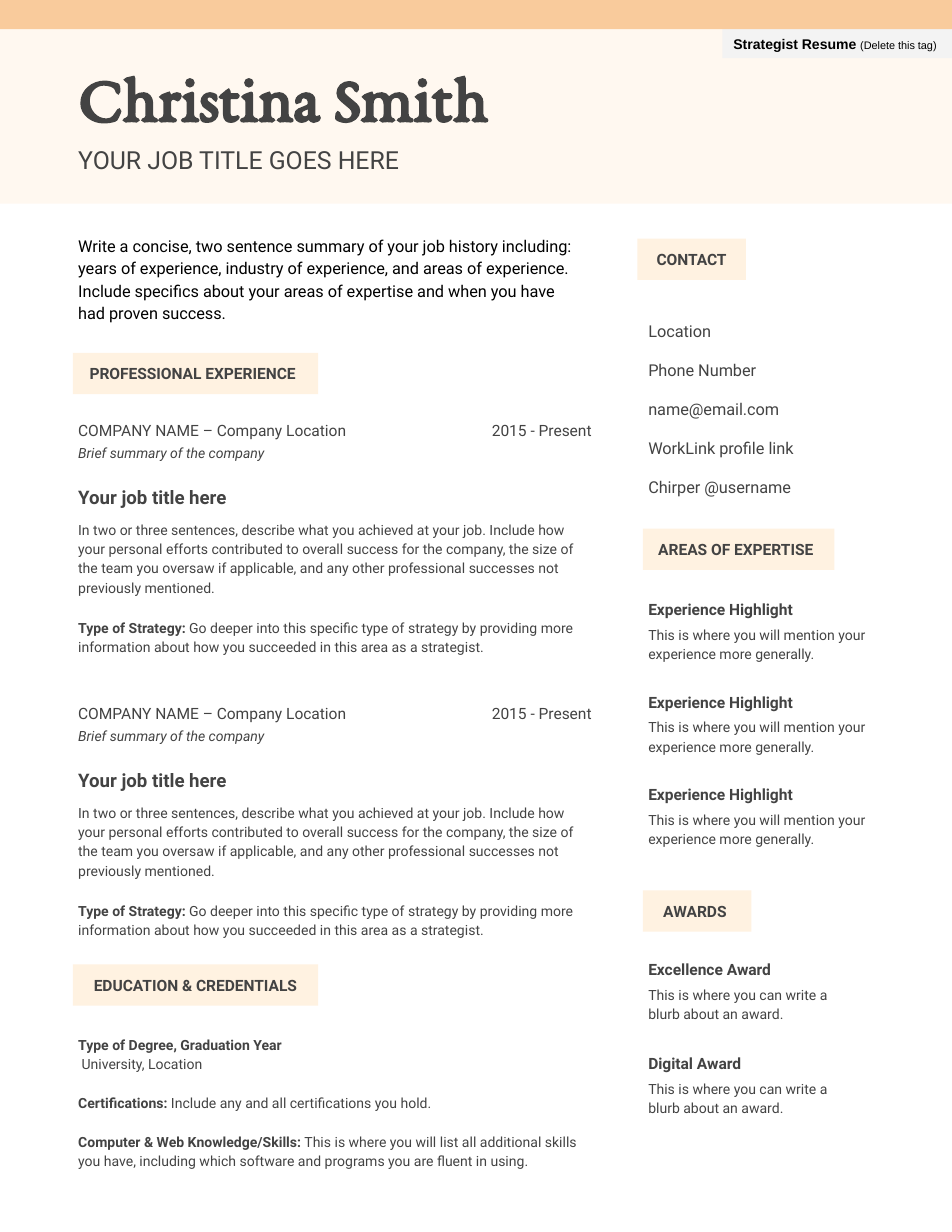
from dataclasses import dataclass, replace

from pptx import Presentation
from pptx.dml.color import RGBColor
from pptx.enum.shapes import MSO_SHAPE as Shape
from pptx.enum.text import MSO_ANCHOR as Anchor, MSO_AUTO_SIZE as AutoSize, PP_ALIGN as Align
from pptx.util import Pt

COLORS = {
    "banner": "F9CB9C",
    "header": "FFF8F0",
    "tag": "FFF2E1",
    "note": "F3F3F3",
    "ink": "434343",
    "black": "000000",
}
INSET = 7.2
LEFT, RIGHT = 43.2, 409.7
MAIN_WIDTH, SIDE_WIDTH, HALF_WIDTH = 343.4, 154.1, 221
TAG_HEIGHT = 26.6


@dataclass(frozen=True)
class Style:
    size: float
    bold: bool = False
    italic: bool = False
    color: str = "ink"
    font: str = "Roboto"
    spacing: float = 1.15
    align: Align = Align.LEFT


@dataclass(frozen=True)
class Box:
    left: float
    top: float
    width: float
    height: float


@dataclass(frozen=True)
class Line:
    text: str
    lead: str = ""
    space_before: float = 0


@dataclass(frozen=True)
class SectionTag:
    text: str
    box: Box
    label_width: float


@dataclass(frozen=True)
class SideItem:
    heading: str
    body: str
    top: float


NAME = Style(42, bold=True, font="EB Garamond", spacing=1)
JOB_LINE = Style(16, spacing=1)
SUMMARY = Style(10.5, color="black")
CONTACT = Style(10.5, spacing=2)
TAG = Style(10, bold=True, spacing=1, align=Align.CENTER)
COMPANY = Style(10)
DATES = replace(COMPANY, align=Align.RIGHT)
HEADING = Style(10, bold=True)
ROLE = Style(12, bold=True)
BODY = Style(9)
BRIEF = replace(BODY, italic=True)
NOTE = Style(7, color="black", font="Arial", spacing=1)


def format_span(span, style: Style) -> None:
    span.font.name = style.font
    span.font.size = Pt(style.size)
    span.font.bold = style.bold
    span.font.italic = style.italic
    span.font.color.rgb = RGBColor.from_string(COLORS[style.color])


def write(frame, lines: list[Line], style: Style, lead_style: Style | None = None) -> None:
    frame.word_wrap = True
    frame.vertical_anchor = Anchor.TOP
    frame.margin_left = frame.margin_right = Pt(INSET)
    frame.margin_top = frame.margin_bottom = Pt(INSET)
    for index, line in enumerate(lines):
        para = frame.paragraphs[0] if index == 0 else frame.add_paragraph()
        para.text = line.lead or line.text
        if line.lead and line.text:
            para.add_run().text = line.text
        para.alignment = style.align
        para.line_spacing = style.spacing
        para.space_before = Pt(line.space_before)
        for span in para.runs:
            format_span(span, style)
        if line.lead:
            format_span(para.runs[0], lead_style or replace(style, bold=True))


def add_text(page, box: Box, lines: list[Line], style: Style) -> None:
    text_box = page.shapes.add_textbox(Pt(box.left), Pt(box.top), Pt(box.width), Pt(box.height))
    write(text_box.text_frame, lines, style)
    text_box.text_frame.auto_size = AutoSize.SHAPE_TO_FIT_TEXT


def add_panel(page, box: Box, color: str):
    panel = page.shapes.add_shape(
        Shape.RECTANGLE, Pt(box.left), Pt(box.top), Pt(box.width), Pt(box.height))
    panel.shadow.inherit = False
    panel.fill.solid()
    panel.fill.fore_color.rgb = RGBColor.from_string(COLORS[color])
    panel.line.fill.background()
    return panel


def add_section_tag(page, tag: SectionTag) -> None:
    frame = add_panel(page, tag.box, "tag").text_frame
    write(frame, [Line(tag.text)], TAG)
    frame.margin_right = Pt(INSET + tag.box.width - tag.label_width)


def add_title(page, text: str, box: Box):
    title = page.shapes.title
    title.left, title.top = Pt(box.left), Pt(box.top)
    title.width, title.height = Pt(box.width), Pt(box.height)
    write(title.text_frame, [Line(text)], NAME)
    title.text_frame.auto_size = AutoSize.SHAPE_TO_FIT_TEXT
    return title


def add_job(page, top: float) -> None:
    add_text(page, Box(LEFT, top, HALF_WIDTH, 26.6),
             [Line("COMPANY NAME – Company Location")], COMPANY)
    add_text(page, Box(248.4, top, 139, 26.6), [Line("2015 - Present")], DATES)
    add_text(page, Box(LEFT, top + 15.8, HALF_WIDTH, 25),
             [Line("Brief summary of the company")], BRIEF)
    add_text(page, Box(LEFT, top + 40.8, HALF_WIDTH, 29), [Line("Your job title here")], ROLE)
    add_text(page, Box(LEFT, top + 64.1, MAIN_WIDTH, 63.4), [Line(
        "In two or three sentences, describe what you achieved at your job. Include how your "
        "personal efforts contributed to overall success for the company, the size of the team "
        "you oversaw if applicable, and any other professional successes not previously "
        "mentioned.")], BODY)
    add_text(page, Box(LEFT, top + 127.3, MAIN_WIDTH, 38.2), [Line(
        " Go deeper into this specific type of strategy by providing more information about how "
        "you succeeded in this area as a strategist.", lead="Type of Strategy:")], BODY)


def add_side_item(page, item: SideItem) -> None:
    add_text(page, Box(RIGHT, item.top, SIDE_WIDTH, 26.6), [Line(item.heading)], HEADING)
    add_text(page, Box(RIGHT, item.top + 16.8, SIDE_WIDTH, 38.2), [Line(item.body)], BODY)


def main() -> None:
    deck = Presentation()
    deck.slide_width, deck.slide_height = Pt(612), Pt(792)
    page = deck.slides.add_slide(deck.slide_layouts[5])

    # Header
    header = add_panel(page, Box(0, 18, 612, 113), "header")
    title = add_title(page, "Christina Smith", Box(LEFT, 28.8, 359.3, 65.5))
    header.element.addnext(title.element)
    add_text(page, Box(LEFT, 85.7, 359.3, 33.8), [Line("YOUR JOB TITLE GOES HERE")], JOB_LINE)
    note = add_panel(page, Box(464.4, 18.7, 147.6, 18.7), "note").text_frame
    write(note, [Line("(Delete this tag)", lead="Strategist Resume ")], NOTE,
          replace(NOTE, size=9, bold=True))
    note.vertical_anchor = Anchor.MIDDLE
    add_panel(page, Box(0, 0, 612, 18.7), "banner")

    # Section tags
    for tag in (
        SectionTag("PROFESSIONAL EXPERIENCE", Box(46.8, 226.8, 157.7, TAG_HEIGHT), 154.1),
        SectionTag("EDUCATION & CREDENTIALS", Box(46.8, 619.9, 157.7, TAG_HEIGHT), 157.7),
        SectionTag("CONTACT", Box(409.7, 153.4, 69.8, TAG_HEIGHT), 69.8),
        SectionTag("AREAS OF EXPERTISE", Box(413.3, 339.8, 123.1, TAG_HEIGHT), 119.5),
        SectionTag("AWARDS", Box(413.3, 572.4, 69.8, TAG_HEIGHT), 67),
    ):
        add_section_tag(page, tag)

    # Main column
    add_text(page, Box(LEFT, 142.6, 335.5, 71.3), [Line(
        "Write a concise, two sentence summary of your job history including: years of "
        "experience, industry of experience, and areas of experience. Include specifics about "
        "your areas of expertise and when you have had proven success.")], SUMMARY)
    for top in (262.1, 444.1):
        add_job(page, top)
    add_text(page, Box(LEFT, 657.4, MAIN_WIDTH, 100.8), [
        Line("", lead="Type of Degree, Graduation Year"),
        Line(" University, Location"),
        Line("Include any and all certifications you hold.", "Certifications: ", 12.5),
        Line("This is where you will list all additional skills you have, including which "
             "software and programs you are fluent in using.",
             "Computer & Web Knowledge/Skills: ", 12.5),
    ], BODY)

    # Side column
    contacts = ("Location", "Phone Number", "name@email.com",
                "WorkLink profile link", "Chirper @username")
    add_text(page, Box(RIGHT, 186.5, SIDE_WIDTH, 128.9), [Line(c) for c in contacts], CONTACT)
    for row in range(3):
        add_side_item(page, SideItem(
            "Experience Highlight",
            "This is where you will mention your experience more generally.",
            377.1 + 59.4 * row))
    for row, award in enumerate(("Excellence Award", "Digital Award")):
        add_side_item(page, SideItem(
            award, "This is where you can write a\vblurb about an award.", 608.4 + 60.3 * row))

    deck.save("out.pptx")


if __name__ == "__main__":
    main()
